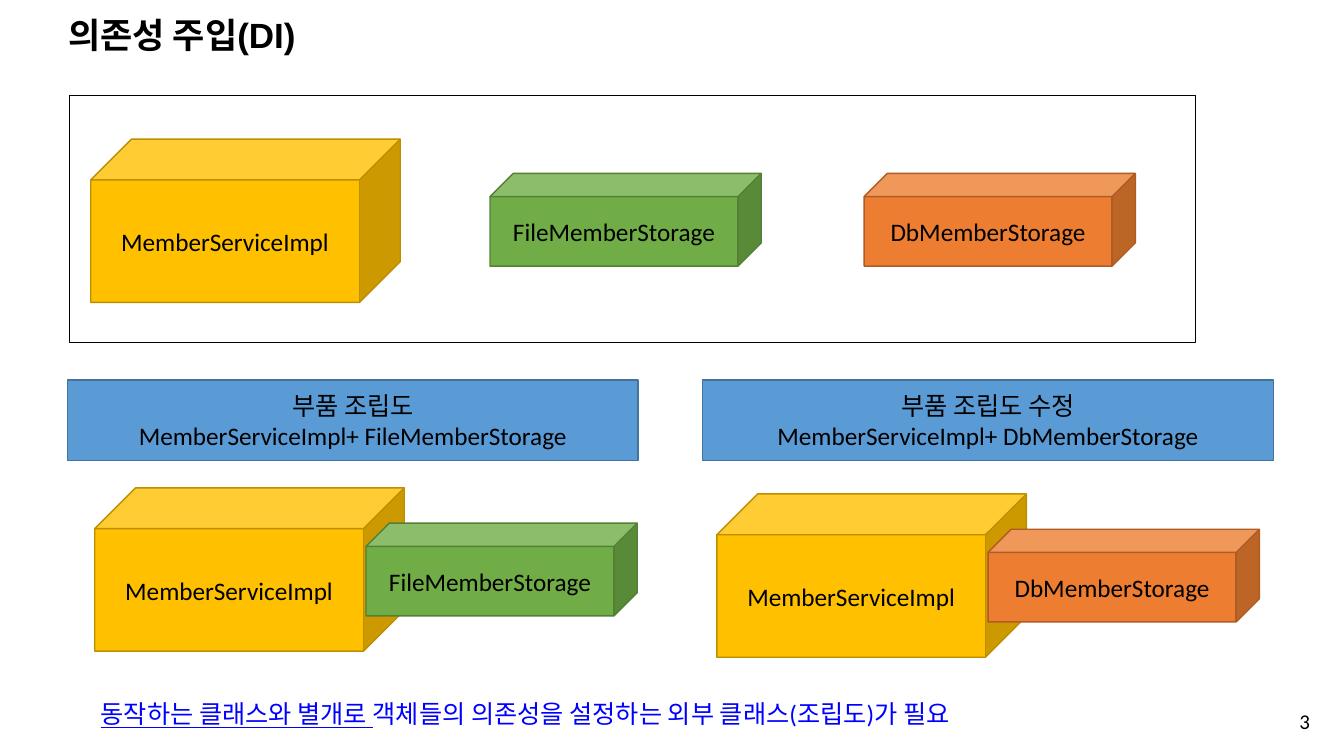
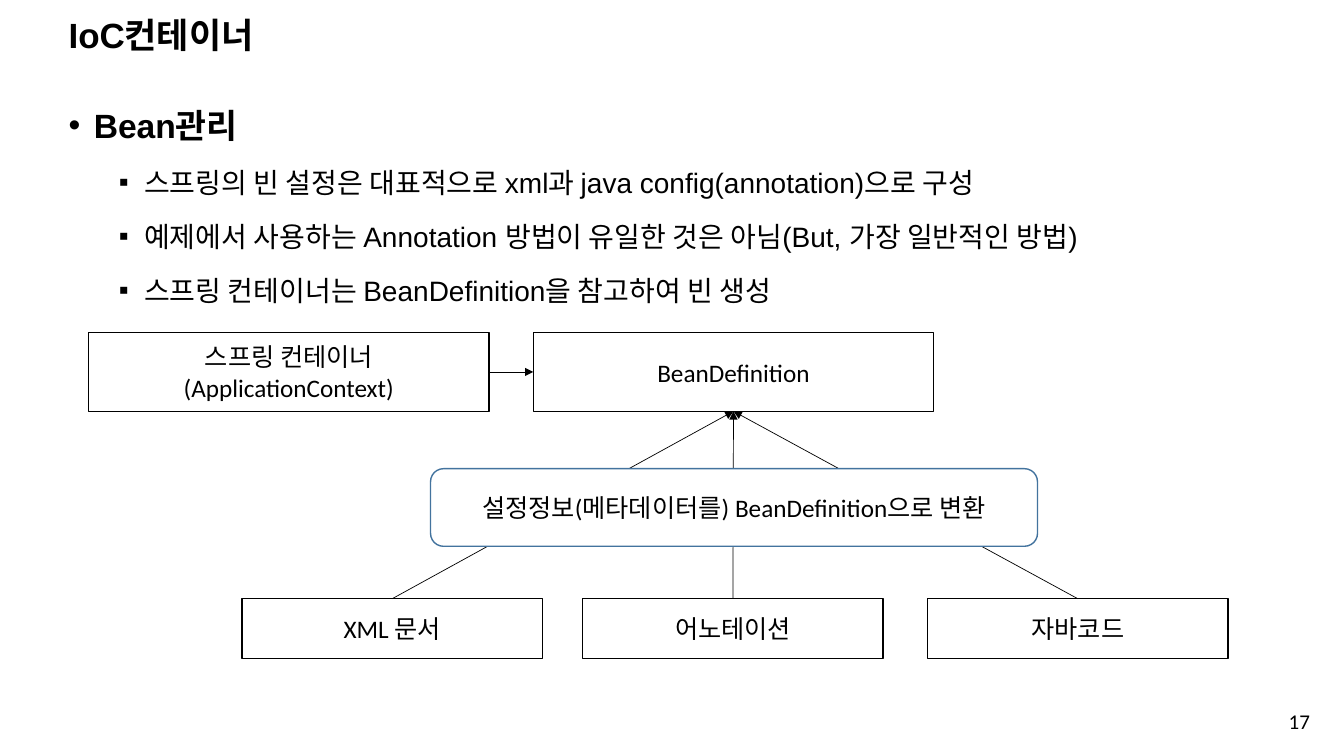
from lxml.etree import SubElement
from pptx import Presentation
from pptx.dml.color import RGBColor
from pptx.enum.shapes import MSO_CONNECTOR, MSO_SHAPE as SHAPE
from pptx.enum.text import MSO_ANCHOR as ANCHOR, MSO_AUTO_SIZE as FIT, PP_ALIGN as ALIGN
from pptx.oxml.ns import qn
from pptx.util import Inches, Pt

COLORS = {
    "black": "000000", "white": "FFFFFF", "link": "0000FF",
    "yellow": "FFC000", "yellow_edge": "BD8E00",
    "green": "70AD47", "green_edge": "538035",
    "orange": "ED7D31", "orange_edge": "AF5C24",
    "blue": "5B9BD5", "blue_edge": "43739E",
}
FORMATS = {
    "title": {"name": "Arial", "size": Pt(25), "bold": True},
    "topic": {"name": "Arial", "size": Pt(24), "bold": True},
    "point": {"name": "Arial", "size": Pt(20), "bold": False},
    "label": {"name": "Calibri", "size": Pt(18)},
    "underlined": {"name": "Calibri", "size": Pt(18), "underline": True},
    "number": {"name": "Calibri", "size": Pt(15)},
}


def add_run(paragraph, text, style, color="black"):
    run = paragraph.add_run()
    run.text = text
    for attribute, value in FORMATS[style].items():
        setattr(run.font, attribute, value)
    run.font.color.rgb = RGBColor.from_string(COLORS[color])


def add_block(slide, kind, at, fill, edge, *lines):
    block = slide.shapes.add_shape(kind, *map(Inches, at))
    block.shadow.inherit = False
    if fill:
        block.fill.solid()
        block.fill.fore_color.rgb = RGBColor.from_string(COLORS[fill])
    else:
        block.fill.background()
    block.line.color.rgb = RGBColor.from_string(COLORS[edge])
    block.line.width = Pt(1)
    frame = block.text_frame
    frame.vertical_anchor = ANCHOR.MIDDLE
    for i, line in enumerate(lines):
        paragraph = frame.add_paragraph() if i else frame.paragraphs[0]
        paragraph.alignment = ALIGN.CENTER
        add_run(paragraph, line, "label")
    return block


prs = Presentation()
prs.slide_width, prs.slide_height = Inches(13.33), Inches(7.5)

# Titles and page numbers
slides = []
for layout, heading, number in [(5, "의존성 주입(DI)", "3"), (1, "IoC컨테이너", "17")]:
    slide = prs.slides.add_slide(prs.slide_layouts[layout])
    slides.append(slide)
    title = slide.shapes.title
    title.left, title.top, title.width, title.height = map(Inches, (0.58, 0.18, 11.5, 0.38))
    title.text_frame.auto_size = FIT.NONE
    title.text_frame.vertical_anchor = ANCHOR.MIDDLE
    title_line = title.text_frame.paragraphs[0]
    title_line.alignment = ALIGN.LEFT
    title_line.line_spacing = 0.9
    add_run(title_line, heading, "title")

    page = slide.shapes.add_textbox(*map(Inches, (10.09, 6.95, 3, 0.4))).text_frame
    page.word_wrap = True
    page.vertical_anchor = ANCHOR.MIDDLE
    page.paragraphs[0].alignment = ALIGN.RIGHT
    add_run(page.paragraphs[0], number, "number")
injection, container = slides

# Dependency injection: the parts in their frame
add_block(injection, SHAPE.RECTANGLE, (0.69, 0.95, 11.17, 2.45), None, "black")
SERVICE, FILE, DB = "MemberServiceImpl", "FileMemberStorage", "DbMemberStorage"
PARTS = {
    SERVICE: ("yellow", (3.07, 1.62)),
    FILE: ("green", (2.69, 0.92)),
    DB: ("orange", (2.69, 0.92)),
}
placements = [(SERVICE, 0.9, 1.38), (FILE, 4.86, 1.72), (DB, 8.57, 1.72)]

# Assembly plans, each with its service and the storage plugged into it
for plan, storage, plan_left, left, top in [
    ("부품 조립도", FILE, 0.67, 0.94, 4.84),
    ("부품 조립도 수정", DB, 6.97, 7.11, 4.9),
]:
    add_block(injection, SHAPE.RECTANGLE, (plan_left, 3.77, 5.66, 0.8),
              "blue", "blue_edge", plan, f"{SERVICE}+ {storage}")
    placements += [(SERVICE, left, top), (storage, left + 2.69, top + 0.35)]

for part, left, top in placements:
    color, size = PARTS[part]
    add_block(injection, SHAPE.CUBE, (left, top, *size), color, f"{color}_edge", part)

# Conclusion
conclusion = injection.shapes.add_textbox(*map(Inches, (0.9, 6.88, 9.4, 0.4))).text_frame
conclusion.word_wrap = False
conclusion.auto_size = FIT.SHAPE_TO_FIT_TEXT
add_run(conclusion.paragraphs[0], "동작하는 클래스와 별개로 ", "underlined", "link")
add_run(conclusion.paragraphs[0], "객체들의 의존성을 설정하는 외부 클래스(조립도)가 필요",
        "label", "link")

# IoC container: bullet list
body = container.placeholders[1]
body.left, body.top, body.width, body.height = map(Inches, (0.58, 0.83, 12.39, 6.43))
body.text_frame.auto_size = FIT.NONE
LEVELS = [("topic", "•", 0.25), ("point", "▪", 0.75)]
for i, (level, text) in enumerate([
    (0, "Bean관리"),
    (1, "스프링의 빈 설정은 대표적으로 xml과 java config(annotation)으로 구성"),
    (1, "예제에서 사용하는 Annotation 방법이 유일한 것은 아님(But, 가장 일반적인 방법)"),
    (1, "스프링 컨테이너는 BeanDefinition을 참고하여 빈 생성"),
]):
    style, bullet, indent = LEVELS[level]
    item = body.text_frame.add_paragraph() if i else body.text_frame.paragraphs[0]
    item.level = level
    properties = item._p.get_or_add_pPr()
    properties.set("marL", str(Inches(indent)))
    properties.set("indent", str(Inches(-0.25)))
    SubElement(properties, qn("a:buFont"), typeface="Arial")
    SubElement(properties, qn("a:buChar"), char=bullet)
    item.line_spacing = 1.4
    item.space_before = Pt(5 if i else 0)
    add_run(item, text, style)

# Diagram boxes
sources = [
    add_block(container, SHAPE.RECTANGLE, (left, 5.94, 2.98, 0.59), "white", "black", source)
    for source, left in [("XML 문서", 2.4), ("어노테이션", 5.78), ("자바코드", 9.2)]
]
definition, context = [
    add_block(container, SHAPE.RECTANGLE, (left, 3.3, 3.97, 0.78), "white", "black", *lines)
    for left, lines in [(5.29, ["BeanDefinition"]),
                        (0.88, ["스프링 컨테이너", "(ApplicationContext)"])]
]

# Arrows into the definition
for start, start_side, end_side in [(context, 3, 1)] + [(source, 0, 2) for source in sources]:
    arrow = container.shapes.add_connector(MSO_CONNECTOR.STRAIGHT, 0, 0, 0, 0)
    arrow.begin_connect(start, start_side)
    arrow.end_connect(definition, end_side)
    arrow.line.color.rgb = RGBColor.from_string(COLORS["black"])
    arrow.line.width = Pt(0.5)
    SubElement(arrow.line._get_or_add_ln(), qn("a:tailEnd"), type="triangle")
    SubElement(arrow._element.spPr, qn("a:effectLst"))

# Conversion step, over the arrows
add_block(container, SHAPE.ROUNDED_RECTANGLE, (4.27, 4.65, 6.02, 0.77), "white", "blue_edge",
          "설정정보(메타데이터를) BeanDefinition으로 변환")

prs.save("out.pptx")
